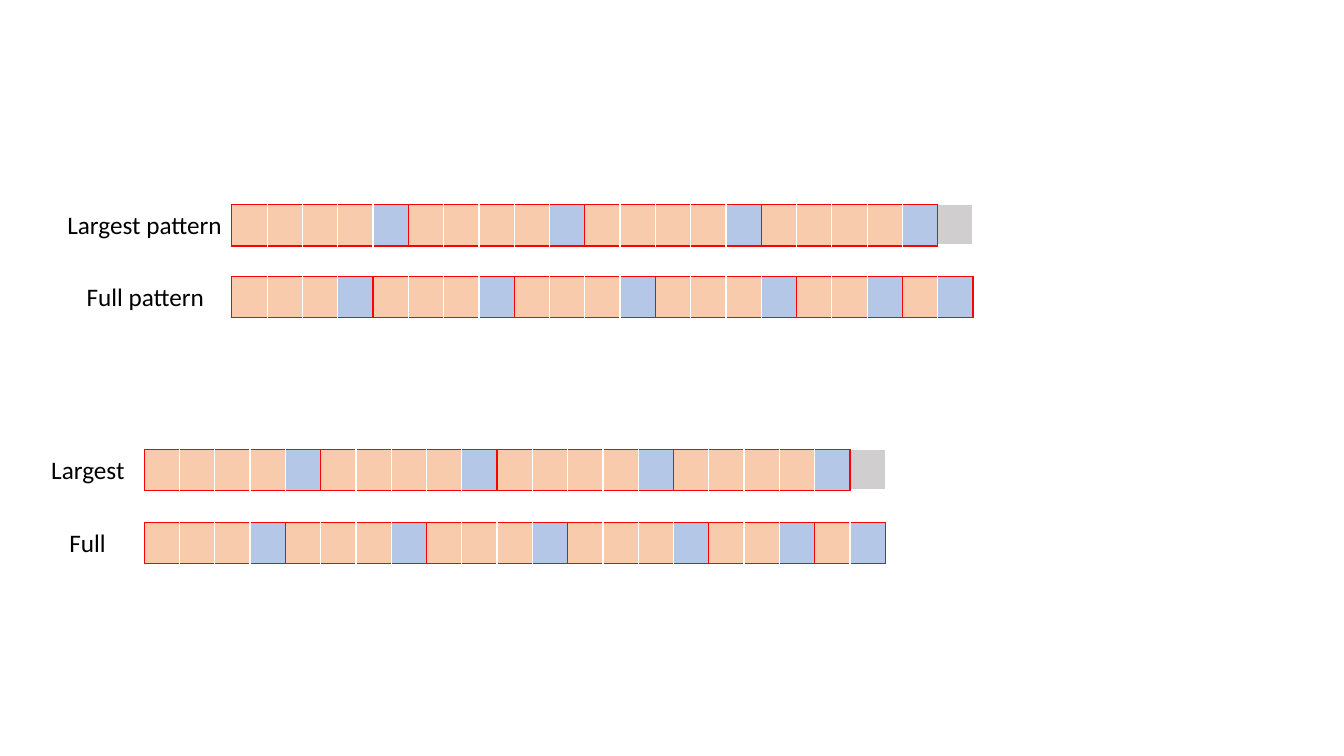
import pptx
import pptx.dml.color
import pptx.enum.text
import pptx.oxml.ns
import pptx.util
from lxml import etree
from pptx.util import Inches

ORANGE = pptx.dml.color.RGBColor(0xF8, 0xCB, 0xAD)
BLUE = pptx.dml.color.RGBColor(0xB4, 0xC7, 0xE7)
GREY = pptx.dml.color.RGBColor(0xD0, 0xCE, 0xCE)
RED = pptx.dml.color.RGBColor(0xFF, 0x00, 0x00)
WHITE = pptx.dml.color.RGBColor(0xFF, 0xFF, 0xFF)
BLACK = pptx.dml.color.RGBColor(0x00, 0x00, 0x00)

CELL_WIDTH = 0.35
CELL_HEIGHT = 0.41
CELL_COUNT = 21
LARGEST_GROUPS = [5, 5, 5, 5]
FULL_GROUPS = [4, 4, 4, 4, 3, 2]


def add_border(cell, side, color, width=1):
    qn = pptx.oxml.ns.qn
    tc_pr = cell._tc.get_or_add_tcPr()
    ln = etree.SubElement(tc_pr, qn(f"a:ln{side}"), w=str(pptx.util.Pt(width)))
    fill = etree.SubElement(ln, qn("a:solidFill"))
    etree.SubElement(fill, qn("a:srgbClr"), val=str(color))


def format_cell(cell, color, left, right, edge=RED, bottom_width=1):
    add_border(cell, "L", left)
    add_border(cell, "R", right)
    add_border(cell, "T", edge)
    add_border(cell, "B", edge, bottom_width)
    cell.fill.solid()
    cell.fill.fore_color.rgb = color


def add_strip(slide, left, top, groups):
    frame = slide.shapes.add_table(
        1, CELL_COUNT, Inches(left), Inches(top),
        Inches(CELL_WIDTH * CELL_COUNT), Inches(CELL_HEIGHT))
    table = frame.table
    table.first_row = False
    table.horz_banding = False
    for column in table.columns:
        column.width = Inches(CELL_WIDTH)

    cells = iter(table.rows[0].cells)
    for size in groups:
        for i in range(size):
            first, last = i == 0, i == size - 1
            format_cell(next(cells), BLUE if last else ORANGE,
                        RED if first else WHITE, RED if last else WHITE)
    for cell in cells:
        format_cell(cell, GREY, RED, WHITE, edge=WHITE, bottom_width=3)


def add_label(slide, text, left, top, width):
    box = slide.shapes.add_textbox(
        Inches(left), Inches(top), Inches(width), Inches(0.4))
    tf = box.text_frame
    tf.word_wrap = False
    tf.auto_size = pptx.enum.text.MSO_AUTO_SIZE.SHAPE_TO_FIT_TEXT
    p = tf.paragraphs[0]
    p.text = text
    p.font.name = "Calibri"
    p.font.size = pptx.util.Pt(18)
    p.font.color.rgb = BLACK


def main():
    prs = pptx.Presentation()
    prs.slide_width = Inches(13.33)
    prs.slide_height = Inches(7.5)
    slide = prs.slides.add_slide(prs.slide_layouts[6])

    rows = [
        ("Largest", 0.41, 0.94, 1.43, 4.46, LARGEST_GROUPS),
        ("Full", 0.59, 0.57, 1.43, 5.18, FULL_GROUPS),
        ("Largest pattern", 0.57, 1.76, 2.3, 2.03, LARGEST_GROUPS),
        ("Full pattern", 0.76, 1.39, 2.3, 2.74, FULL_GROUPS),
    ]
    for text, label_left, label_width, strip_left, top, groups in rows:
        add_strip(slide, strip_left, top, groups)
        add_label(slide, text, label_left, top, label_width)

    prs.save("out.pptx")


if __name__ == "__main__":
    main()
